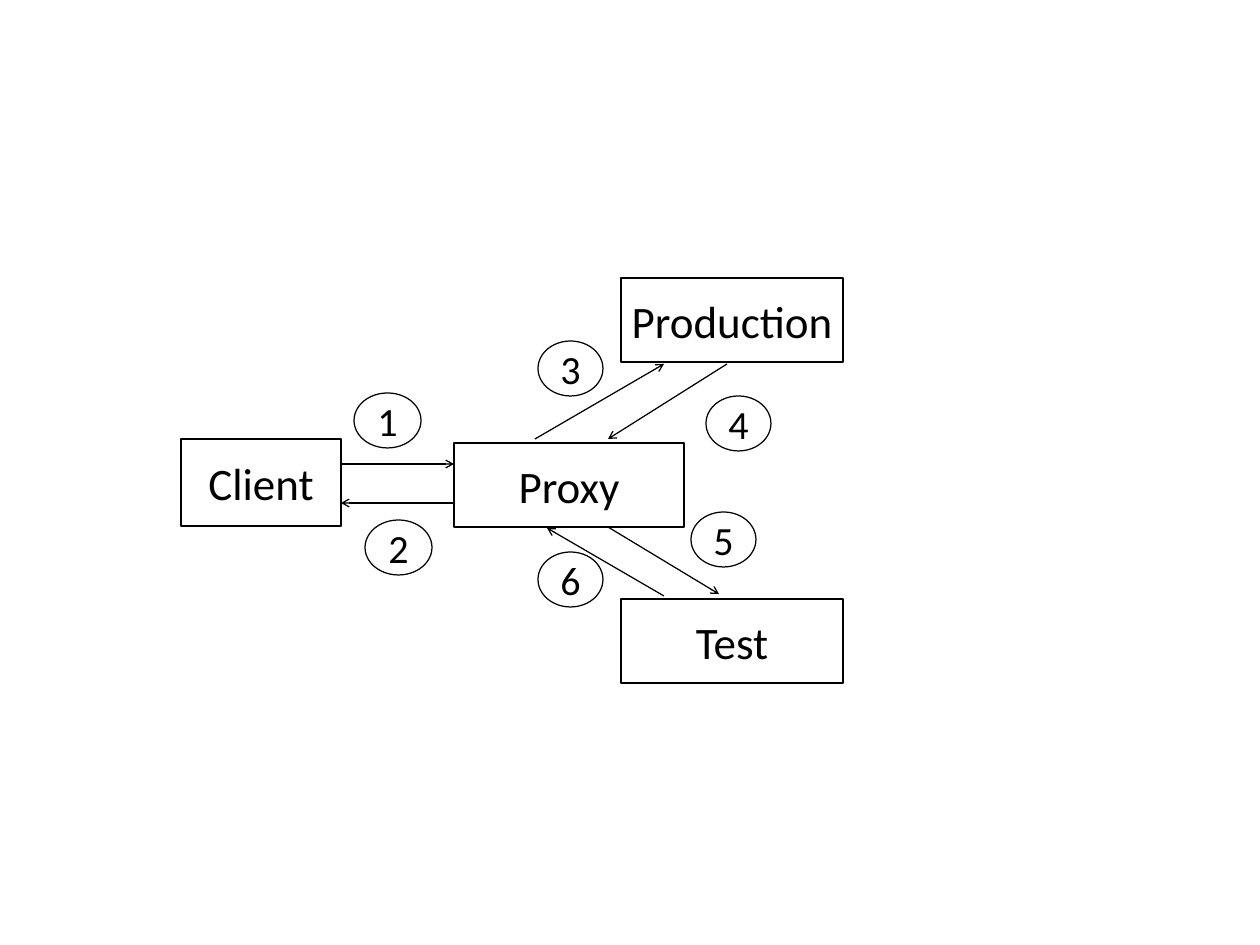
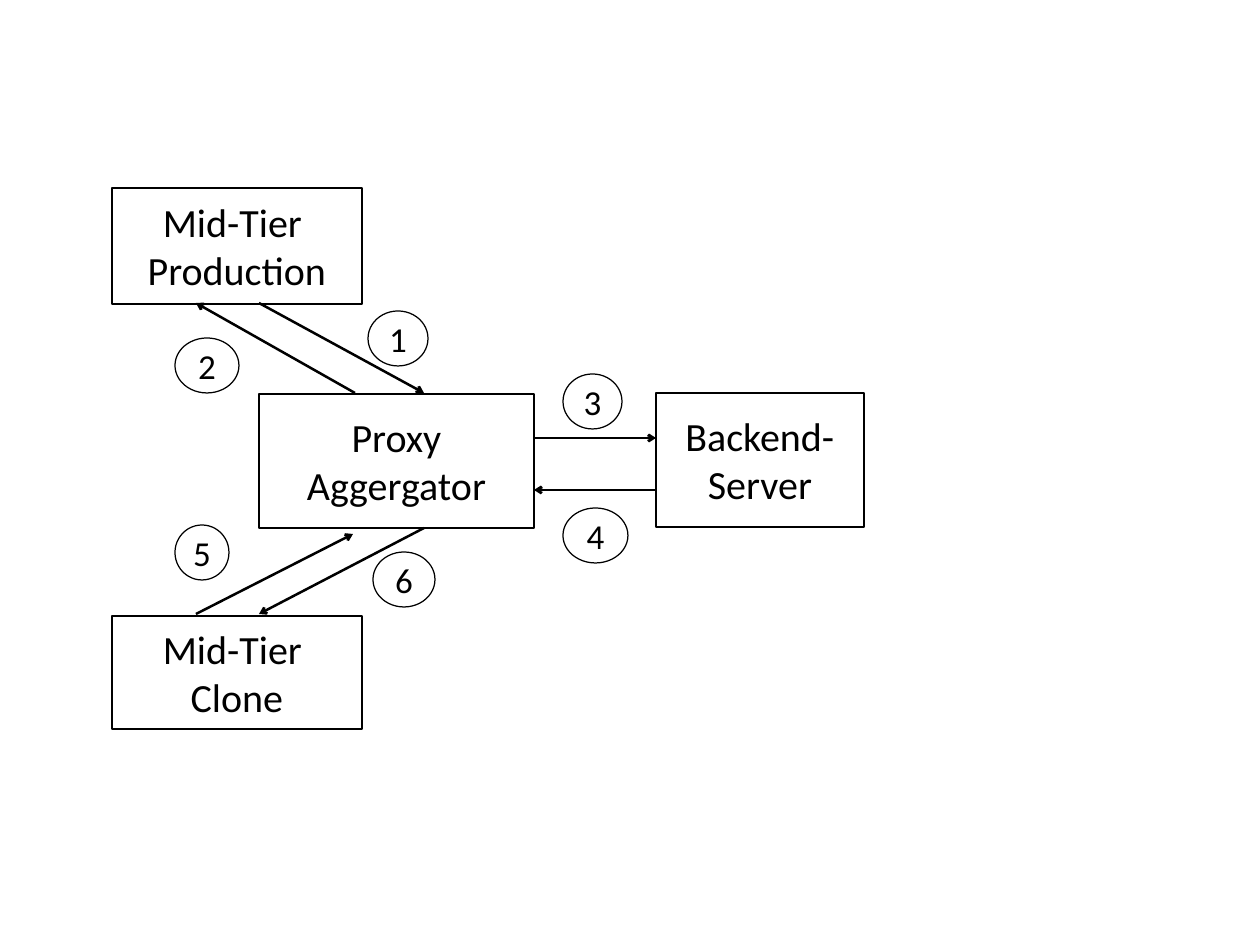
"""Two request-flow diagrams: a proxy in front of servers, and a proxy aggregator behind them."""
from lxml.etree import SubElement
from pptx import Presentation
from pptx.dml.color import RGBColor
from pptx.enum.shapes import MSO_CONNECTOR, MSO_SHAPE
from pptx.enum.text import MSO_ANCHOR, PP_ALIGN
from pptx.oxml.ns import qn
from pptx.util import Pt

PIXEL = 914400 // 90
INK = RGBColor(0x00, 0x00, 0x00)
FONT = "Calibri"
STEP_HEIGHT = 55


def add_node(slide, outline, label, bounds, font_size, line_width):
    node = slide.shapes.add_shape(outline, *(n * PIXEL for n in bounds))
    node.shadow.inherit = False
    node.fill.background()
    node.line.color.rgb = INK
    node.line.width = Pt(line_width)
    frame = node.text_frame
    frame.vertical_anchor = MSO_ANCHOR.MIDDLE
    frame.text = label
    for paragraph in frame.paragraphs:
        paragraph.alignment = PP_ALIGN.CENTER
        for run in paragraph.runs:
            run.font.name = FONT
            run.font.size = Pt(font_size)
            run.font.color.rgb = INK


def add_arrow(slide, ends, line_width):
    arrow = slide.shapes.add_connector(MSO_CONNECTOR.STRAIGHT, *(n * PIXEL for n in ends))
    arrow.line.color.rgb = INK
    arrow.line.width = Pt(line_width)
    SubElement(arrow.line._get_or_add_ln(), qn("a:tailEnd"), type="arrow")
    SubElement(arrow._element.spPr, qn("a:effectLst"))


proxy_flow = {
    "box_size": 36,
    "step_size": 32,
    "line_width": 1,
    "boxes": [
        ("Client", (181, 439, 160, 87)),
        ("Proxy", (454, 443, 230, 84)),
        ("Production", (621, 278, 222, 84)),
        ("Test", (621, 599, 222, 84)),
    ],
    "arrows": [
        (341, 464, 454, 464),
        (454, 503, 341, 503),
        (535, 439, 664, 364),
        (727, 364, 608, 439),
        (608, 527, 719, 594),
        (664, 596, 547, 528),
    ],
    "steps": [
        (354, 393, 67),
        (365, 520, 67),
        (538, 341, 65),
        (706, 396, 65),
        (691, 512, 65),
        (538, 552, 65),
    ],
}

aggregator_flow = {
    "box_size": 32,
    "step_size": 28,
    "line_width": 2,
    "boxes": [
        ("Proxy\nAggergator", (259, 394, 275, 134)),
        ("Mid-Tier \nProduction", (112, 188, 250, 116)),
        ("Mid-Tier \nClone", (112, 616, 250, 113)),
        ("Backend-\nServer", (656, 393, 208, 134)),
    ],
    "arrows": [
        (259, 303, 424, 393),
        (355, 393, 196, 303),
        (534, 438, 656, 438),
        (656, 490, 534, 490),
        (196, 614, 353, 534),
        (424, 528, 259, 614),
    ],
    "steps": [
        (368, 311, 60),
        (175, 338, 64),
        (563, 374, 59),
        (563, 508, 65),
        (175, 525, 54),
        (373, 552, 62),
    ],
}

deck = Presentation()
deck.slide_width = 1260 * PIXEL
deck.slide_height = 945 * PIXEL

for flow in (proxy_flow, aggregator_flow):
    slide = deck.slides.add_slide(deck.slide_layouts[6])
    for label, bounds in flow["boxes"]:
        add_node(slide, MSO_SHAPE.RECTANGLE, label, bounds, flow["box_size"], flow["line_width"])
    for ends in flow["arrows"]:
        add_arrow(slide, ends, flow["line_width"])
    for number, (left, top, width) in enumerate(flow["steps"], start=1):
        bounds = (left, top, width, STEP_HEIGHT)
        add_node(slide, MSO_SHAPE.OVAL, str(number), bounds, flow["step_size"], 1)

deck.save("out.pptx")
